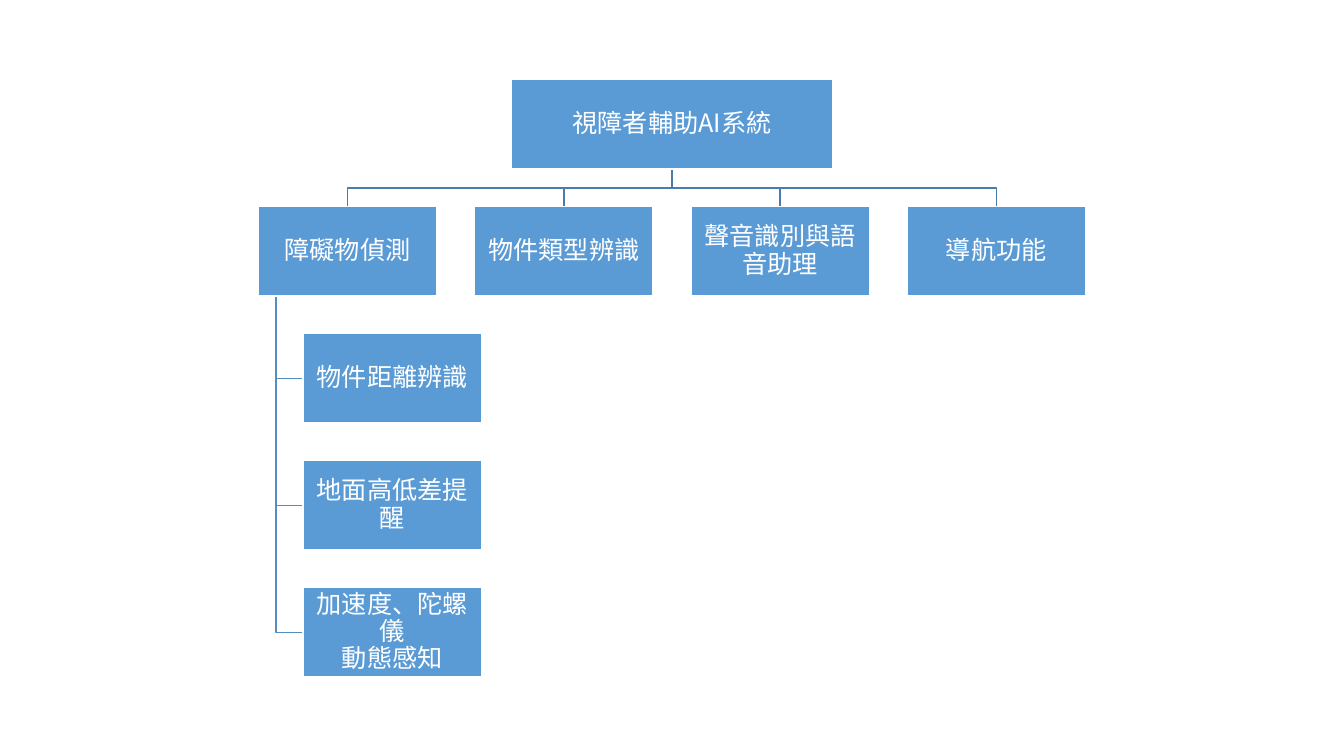
from lxml import etree
from pptx import Presentation
from pptx.dml.color import RGBColor
from pptx.enum.shapes import MSO_SHAPE
from pptx.enum.text import MSO_ANCHOR, PP_ALIGN
from pptx.oxml.ns import qn
from pptx.util import Cm, Pt

RECT = MSO_SHAPE.RECTANGLE
MIDDLE = MSO_ANCHOR.MIDDLE
CENTER = PP_ALIGN.CENTER

ROOT = "視障者輔助AI系統"
TASKS = ["障礙物偵測", "物件類型辨識", "聲音識別與語音助理", "導航功能"]
PARTS = ["物件距離辨識", "地面高低差提醒", "加速度、陀螺儀\v動態感知"]

COLORS = {"box": "5B9BD5", "edge": "FFFFFF", "text": "FFFFFF",
          "tree": "497CAB", "side": "538DC1"}
FONT = "Noto Sans CJK JP"
WIDE, HIGH = 33.87, 19.05
TOP, BOX_H, ROW = 2.01, 2.25, 3.2
ROOT_W, BOX_W, COL = 8.08, 4.5, 5.45

FRAME = {"word_wrap": True, "vertical_anchor": MIDDLE,
         "margin_left": Cm(0.03), "margin_right": Cm(0.03),
         "margin_top": Cm(0.03), "margin_bottom": Cm(0.03)}
PARA = {"alignment": CENTER, "line_spacing": 0.9}
TYPE = {"name": FONT, "size": Pt(18)}


def apply(target, values):
    for name, value in values.items():
        setattr(target, name, value)


def color(name):
    return RGBColor.from_string(COLORS[name])


def outline(shape, name):
    shape.shadow.inherit = False
    shape.line.color.rgb = color(name)
    shape.line.width = Pt(1)


def add_path(slide, points, name):
    first, *rest = [(Cm(x), Cm(y)) for x, y in points]
    pen = slide.shapes.build_freeform(*first)
    pen.add_line_segments(rest, close=False)
    line = pen.convert_to_shape()
    line.fill.background()
    outline(line, name)


def add_box(slide, text, left, top, width):
    box = slide.shapes.add_shape(RECT, Cm(left), Cm(top), Cm(width), Cm(BOX_H))
    box.fill.solid()
    box.fill.fore_color.rgb = color("box")
    outline(box, "edge")
    frame = box.text_frame
    apply(frame, FRAME)
    frame.text = text
    for para in frame.paragraphs:
        apply(para, PARA)
        for run in para.runs:
            run.font.color.rgb = color("text")
            apply(run.font, TYPE)
            east = etree.SubElement(run._r.get_or_add_rPr(), qn("a:ea"))
            east.set("typeface", FONT)


def main():
    deck = Presentation()
    apply(deck, {"slide_width": Cm(WIDE), "slide_height": Cm(HIGH)})
    slide = deck.slides.add_slide(deck.slide_layouts[6])

    mid = WIDE / 2
    left = mid - ((len(TASKS) - 1) * COL + BOX_W) / 2
    spine, inset = left + BOX_W / 10, left + BOX_W / 4
    base, row = TOP + BOX_H, TOP + ROW
    bend = (base + row) / 2
    tasks = [(text, left + i * COL) for i, text in enumerate(TASKS)]
    parts = [(text, row + (i + 1) * ROW) for i, text in enumerate(PARTS)]

    for _, x in tasks:
        end = x + BOX_W / 2
        add_path(slide, [(mid, base), (mid, bend), (end, bend), (end, row)], "tree")
    for _, y in parts:
        end = y + BOX_H / 2
        add_path(slide, [(spine, row + BOX_H), (spine, end), (inset, end)], "side")

    add_box(slide, ROOT, mid - ROOT_W / 2, TOP, ROOT_W)
    for text, x in tasks:
        add_box(slide, text, x, row, BOX_W)
    for text, y in parts:
        add_box(slide, text, inset, y, BOX_W)

    deck.save("out.pptx")


if __name__ == "__main__":
    main()
